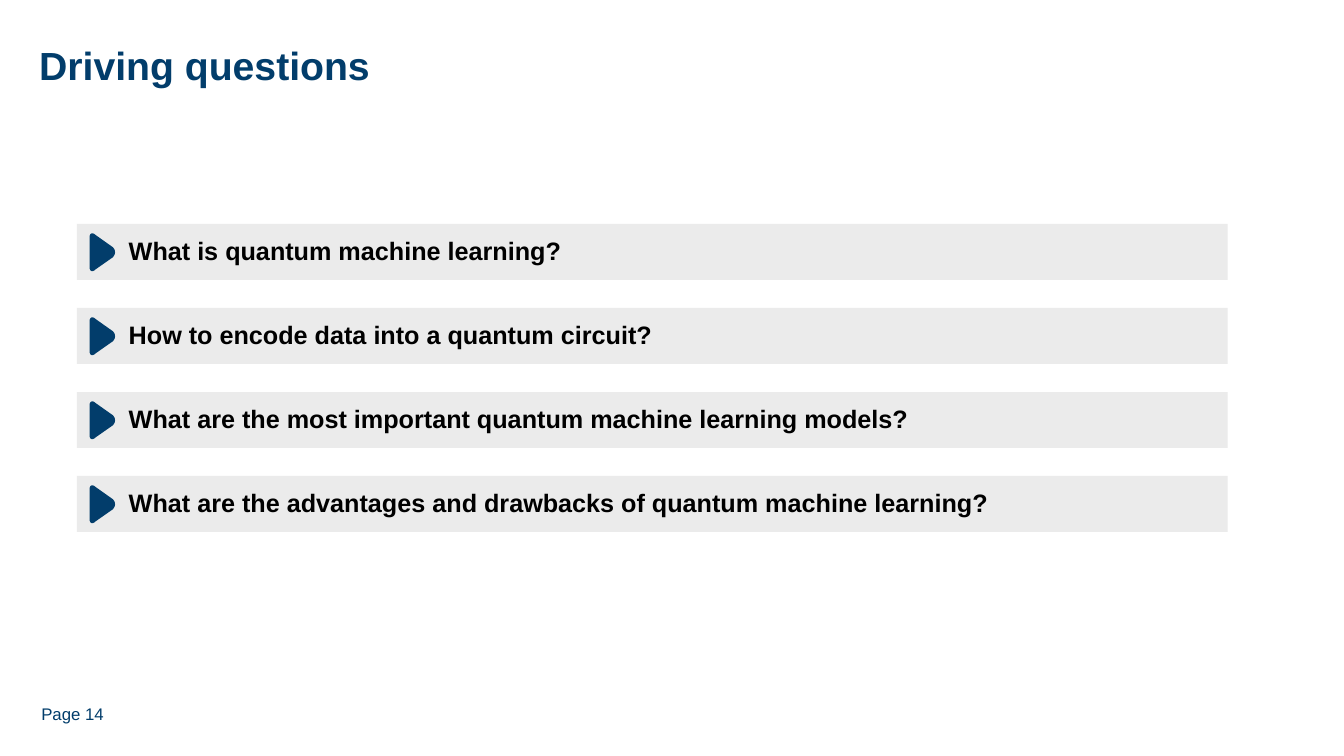
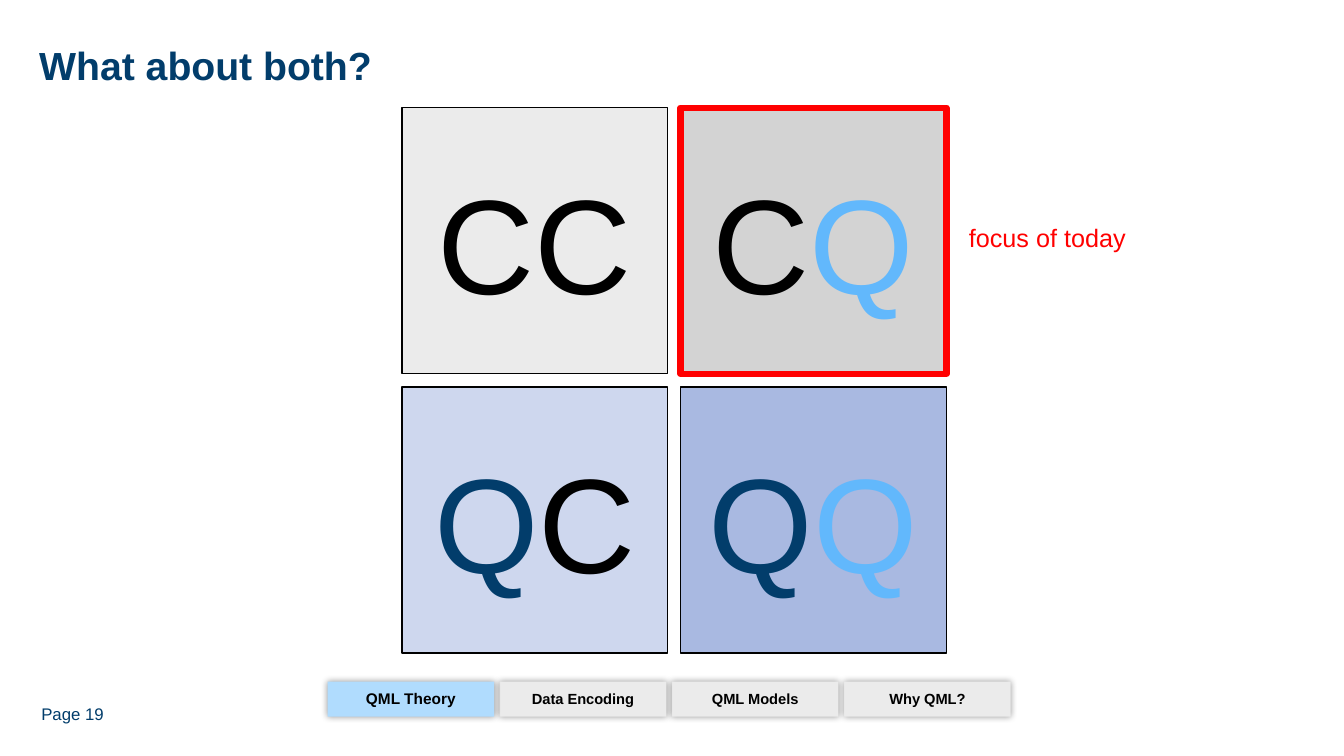
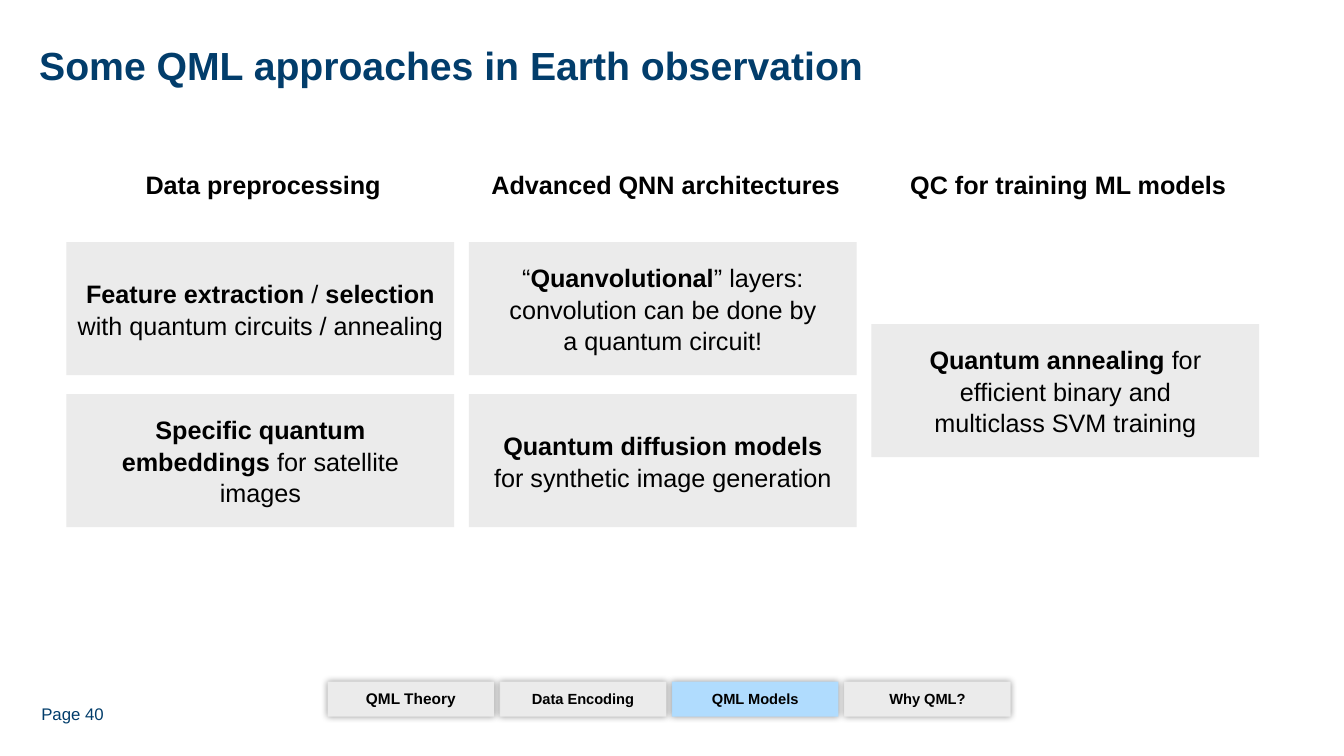
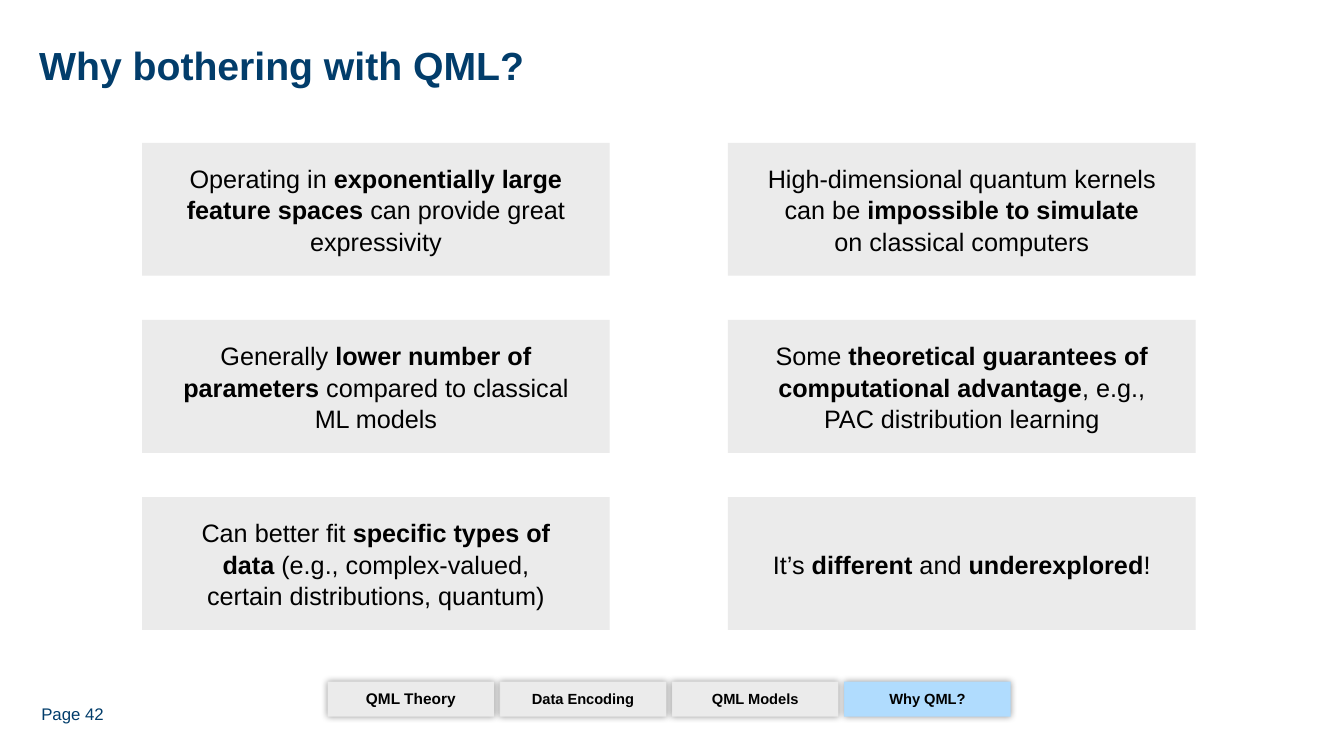
from pptx import Presentation
from pptx.dml.color import RGBColor
from pptx.enum.shapes import MSO_SHAPE as Preset
from pptx.enum.text import MSO_ANCHOR as Anchor, PP_ALIGN as Align
from pptx.oxml import parse_xml
from pptx.oxml.ns import nsdecls, qn
from pptx.util import Pt

# The slide is a grid of 96 columns by 54 rows of square cells.
CELL = Pt(10)
COLUMNS, ROWS = 96, 54
FONT = "Arial"
COLORS = {
    "navy": "023D6B", "sky": "62B8FC", "active": "B0DCFE", "panel": "EBEBEB",
    "silver": "D3D3D3", "mist": "CED7EE", "periwinkle": "A9B9E1",
    "black": "000000", "red": "FF0000",
}
SECTIONS = [("QML Theory", 11), ("Data Encoding", 10.5),
            ("QML Models", 10.5), ("Why QML?", 10.5)]
TAB_SHADOW = (
    f'<a:outerShdw {nsdecls("a")} blurRad="{Pt(5)}" dist="0" algn="ctr" rotWithShape="0">'
    '<a:srgbClr val="000000"><a:alpha val="40000"/></a:srgbClr></a:outerShdw>'
)


def write(frame, text, size=18, color="black", align=Align.CENTER,
          anchor=Anchor.MIDDLE, spacing=1.0, side=0):
    """Fill a frame; **marks** set bold runs, and color may list one name per run."""
    frame.word_wrap = True
    frame.vertical_anchor = anchor
    frame.margin_left = frame.margin_right = round(side * CELL)
    frame.margin_top = frame.margin_bottom = 0
    paragraph = frame.paragraphs[0]
    paragraph.alignment = align
    paragraph.line_spacing = spacing
    pieces = [(piece, i % 2 == 1) for i, piece in enumerate(text.split("**")) if piece]
    colors = [color] * len(pieces)
    if isinstance(color, tuple):
        pieces, colors = [(letter, False) for letter in text], color
    for (piece, bold), name in zip(pieces, colors):
        run = paragraph.add_run()
        run.text = piece
        run.font.name, run.font.size, run.font.bold = FONT, Pt(size), bold
        run.font.color.rgb = RGBColor.from_string(COLORS[name])


def add_panel(slide, cells, fill="panel", line=None, weight=1):
    """Add a flat rectangle at left, top, width and height given in cells."""
    panel = slide.shapes.add_shape(Preset.RECTANGLE, *(round(n * CELL) for n in cells))
    panel.shadow.inherit = False
    panel.fill.solid()
    panel.fill.fore_color.rgb = RGBColor.from_string(COLORS[fill])
    if line:
        panel.line.color.rgb = RGBColor.from_string(COLORS[line])
        panel.line.width = Pt(weight)
    else:
        panel.line.fill.background()
    return panel


deck = Presentation()
deck.slide_width, deck.slide_height = COLUMNS * CELL, ROWS * CELL

# Shared parts: title, page number and section tabs
slides = []
for heading, page, section in [
    ("Driving questions", 14, None),
    ("What about both?", 19, "QML Theory"),
    ("Some QML approaches in Earth observation", 40, "QML Models"),
    ("Why bothering with QML?", 42, "Why QML?"),
]:
    slide = deck.slides.add_slide(deck.slide_layouts[5])
    slides.append(slide)
    title = slide.shapes.title
    title.left, title.top, title.width, title.height = (
        round(n * CELL) for n in (2.8, 2.5, 90.1, 5.2))
    write(title.text_frame, f"**{heading}**", 28, "navy", Align.LEFT, Anchor.TOP, 1.14)
    page_number = slide.shapes.add_textbox(
        *(round(n * CELL) for n in (2.95, 50.25, 5.7, 1.75)))
    write(page_number.text_frame, f"Page {page}", 12, "navy", Align.LEFT, Anchor.TOP)
    if section:
        for i, (name, size) in reversed(list(enumerate(SECTIONS))):
            tab = add_panel(slide, (23.4 + i * 12.3, 48.7, 11.9, 2.5),
                            "active" if name == section else "panel")
            tab._element.spPr.find(qn("a:effectLst")).append(parse_xml(TAB_SHADOW))
            write(tab.text_frame, f"**{name}**", size, spacing=0.95)

questions, combinations, approaches, reasons = slides

# Driving questions: bars with a rounded arrowhead, drawn in shares of a cell
corners = [
    [(0, 2.45), (0, 2.74), (0.22, 2.81), (0.43, 2.59)],
    [(1.66, 1.73), (1.87, 1.51), (1.87, 1.22), (1.66, 1.01)],
    [(0.43, 0.14), (0.22, -0.07), (0, 0), (0, 0.29)],
]
outline = []
for corner in corners:
    for step in range(9):
        t = step / 8
        weights = ((1 - t) ** 3, 3 * t * (1 - t) ** 2, 3 * t * t * (1 - t), t ** 3)
        outline.append(tuple(
            round(CELL * sum(w * point[axis] for w, point in zip(weights, corner)))
            for axis in (0, 1)))

for row, question in enumerate([
    "What is quantum machine learning?",
    "How to encode data into a quantum circuit?",
    "What are the most important quantum machine learning models?",
    "What are the advantages and drawbacks of quantum machine learning?",
]):
    top = 16 + row * 6
    bar = add_panel(questions, (5.5, top, 82.2, 4))
    write(bar.text_frame, f"**{question}**", align=Align.LEFT, spacing=0.95, side=3.7)
    builder = questions.shapes.build_freeform(*outline[0])
    builder.add_line_segments(outline[1:], close=True)
    marker = builder.convert_to_shape(round(6.4 * CELL), round((top + 0.65) * CELL))
    marker.shadow.inherit = False
    marker.fill.solid()
    marker.fill.fore_color.rgb = RGBColor.from_string(COLORS["navy"])
    marker.line.fill.background()

# Classical and quantum combinations
for column, row, letters, colors, fill, line, weight in [
    (0, 0, "CC", ("black", "black"), "panel", "black", 1),
    (0, 1, "QC", ("navy", "black"), "mist", "black", 1),
    (1, 1, "QQ", ("navy", "sky"), "periwinkle", "black", 1),
    (1, 0, "CQ", ("black", "sky"), "silver", "red", 4.5),
]:
    square = add_panel(combinations, (28.7 + column * 19.9, 7.7 + row * 19.95, 19, 19),
                       fill, line, weight)
    write(square.text_frame, letters, 96, colors)
focus = combinations.shapes.add_textbox(
    *(round(n * CELL) for n in (68.5, 15.9, 12.8, 4.5)))
write(focus.text_frame, "focus of today", color="red", align=Align.LEFT,
      anchor=Anchor.TOP, side=0.72)

# Approaches: one column per topic, cards as (row, side margin, text)
for column, (topic, cards) in enumerate([
    ("Data preprocessing", [
        (0, 0.6, "**Feature extraction** / **selection **with quantum circuits / annealing"),
        (1, 1.5, "**Specific quantum embeddings **for satellite images"),
    ]),
    ("Advanced QNN architectures", [
        (0, 2.5, "“**Quanvolutional**” layers: convolution can be done by a quantum circuit!"),
        (1, 1.5, "**Quantum diffusion models **for synthetic image generation"),
    ]),
    ("QC for training ML models", [
        (0.54, 2.5, "**Quantum annealing **for efficient binary and multiclass SVM training"),
    ]),
]):
    left = 4.75 + column * 28.75
    header = approaches.shapes.add_textbox(
        *(round(n * CELL) for n in (left + 0.2, 11.8, 27.7, 2.8)))
    write(header.text_frame, f"**{topic}**")
    for row, side, text in cards:
        card = add_panel(approaches, (left, 17.3 + row * 10.85, 27.7, 9.5))
        write(card.text_frame, text, spacing=1.04, side=side)

# Reasons, row by row in two columns
for i, reason in enumerate([
    "Operating in **exponentially large feature spaces** can provide great expressivity",
    "High-dimensional quantum kernels can be **impossible to simulate **on classical computers",
    "Generally** lower number of parameters **compared to classical ML models",
    "Some **theoretical guarantees of computational advantage**, e.g., "
    "PAC distribution learning",
    "Can better fit **specific types of data **(e.g., complex-valued, "
    "certain distributions, quantum)",
    "It’s **different **and **underexplored**!",
]):
    row, column = divmod(i, 2)
    card = add_panel(reasons, (10.15 + column * 41.85, 10.2 + row * 12.65, 33.4, 9.5))
    write(card.text_frame, reason, spacing=1.04, side=2.8)

deck.save("out.pptx")
